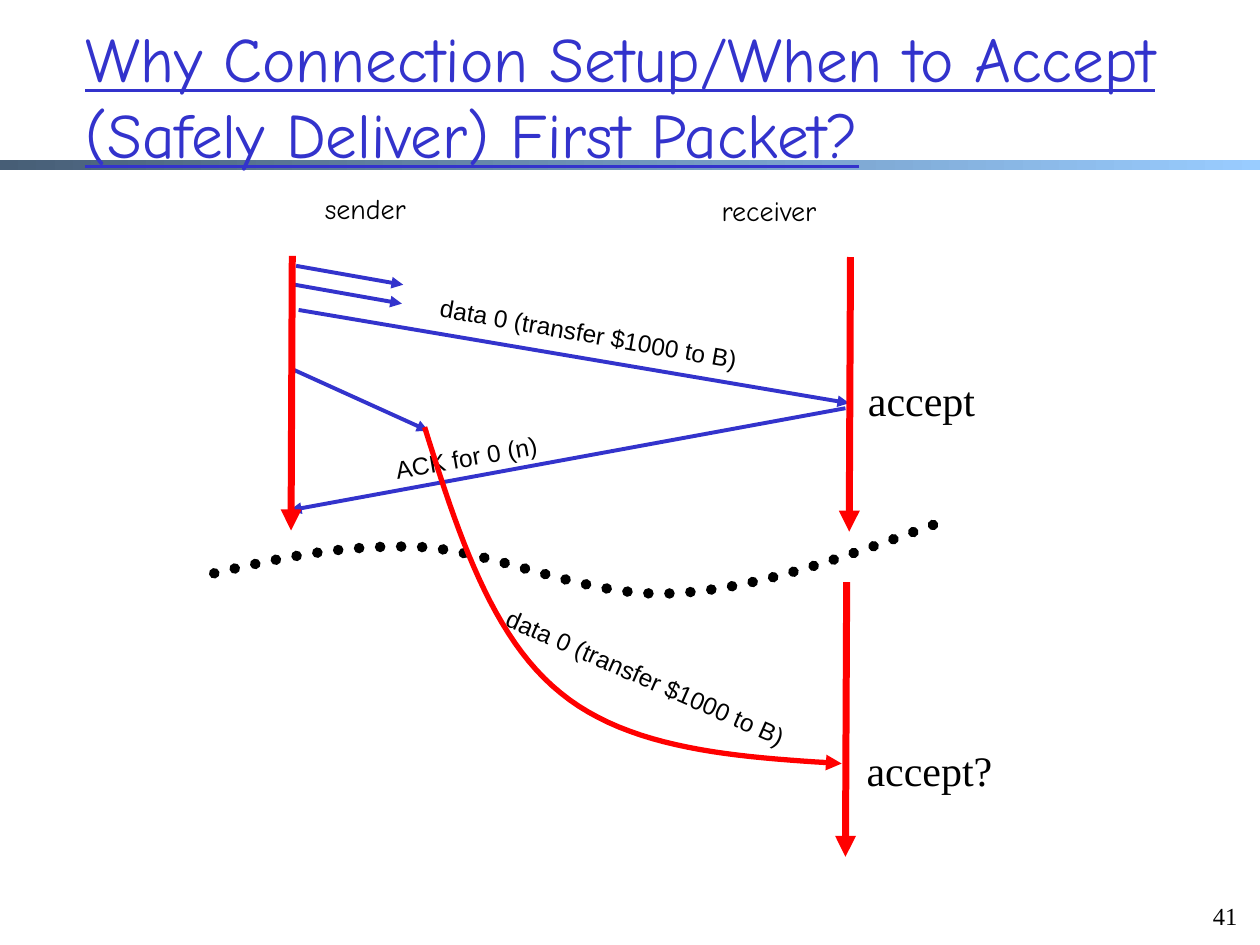
"""Build a slide on connection setup and accepting the first packet."""
from dataclasses import dataclass

from lxml import etree
from pptx import Presentation, util as u
from pptx.dml.color import RGBColor
from pptx.enum import dml, shapes, text
from pptx.oxml.ns import qn

Point = tuple[float, float]


@dataclass(frozen=True)
class Theme:
    blue: str = "3333CC"
    red: str = "FF0000"
    black: str = "000000"
    bar_start: str = "475E76"
    bar_end: str = "99CCFF"
    hand: str = "Comic Neue"
    sans: str = "Arial"
    serif: str = "Times New Roman"
    title: float = 36.1
    verdict: float = 24
    role: float = 16
    small: float = 14
    message_line: float = 2.25
    late_line: float = 3
    time_line: float = 4
    dots: float = 6


THEME = Theme()


@dataclass(frozen=True)
class Label:
    words: str
    box: tuple[float, float, float, float]
    font: str
    size: float
    rotation: float = 0
    wrap: bool = False


@dataclass(frozen=True)
class Arrow:
    start: Point
    end: Point
    color: str = THEME.blue
    width: float = THEME.message_line


@dataclass(frozen=True)
class Curve:
    start: Point
    segments: tuple[tuple[Point, Point, Point], ...]
    color: str
    width: float
    dotted: bool = False


TRANSFER = "data 0 (transfer $1000 to B)"

LABELS = (
    Label("sender", (2.48, 1.47, 0.91, 0.37), THEME.hand, THEME.role),
    Label("receiver", (5.63, 1.49, 1.07, 0.37), THEME.hand, THEME.role),
    Label("ACK for 0 (n)", (3.02, 3.32, 2.99, 0.33), THEME.sans, THEME.small, -10, True),
    Label("accept", (6.79, 2.92, 1.05, 0.5), THEME.serif, THEME.verdict),
    Label(TRANSFER, (3.38, 2.48, 2.59, 0.34), THEME.sans, THEME.small, 10),
    Label(TRANSFER, (3.83, 5.21, 2.59, 0.34), THEME.sans, THEME.small, 23.8),
    Label("accept?", (6.78, 5.86, 1.2, 0.5), THEME.serif, THEME.verdict),
)

MESSAGES = (
    Arrow((2.37, 2.46), (6.74, 3.2)),
    Arrow((6.71, 3.24), (2.3, 4.05)),
    Arrow((2.35, 2.11), (3.2, 2.26)),
    Arrow((2.34, 2.26), (3.19, 2.41)),
    Arrow((2.32, 2.93), (3.4, 3.42)),
)

TIMELINES = tuple(
    Arrow((x, y), (x - 0.01, y + 2.18), THEME.red, THEME.time_line)
    for x, y in ((2.32, 2.03), (6.75, 2.04), (6.72, 4.62))
)

SEPARATOR = Curve(
    (1.7, 4.55),
    (
        ((2.21, 4.43), (2.72, 4.32), (3.32, 4.34)),
        ((3.93, 4.37), (4.64, 4.74), (5.32, 4.71)),
        ((6.01, 4.68), (6.73, 4.41), (7.45, 4.15)),
    ),
    THEME.black, THEME.dots, dotted=True,
)
LATE_PACKET = Curve(
    (3.37, 3.39),
    (
        ((3.63, 4.22), (3.9, 5.06), (4.45, 5.5)),
        ((5, 5.95), (5.84, 6.01), (6.68, 6.06)),
    ),
    THEME.red, THEME.late_line,
)


def add_text(slide, words: str, box, *, font: str, size: float, color: str = THEME.black,
             rotation: float = 0, wrap: bool = True, underline: bool = False, grow: bool = False,
             anchor=text.MSO_ANCHOR.TOP, align=text.PP_ALIGN.LEFT):
    """Add one formatted text box."""
    shape = slide.shapes.add_textbox(*map(u.Inches, box))
    shape.rotation = rotation
    frame = shape.text_frame
    frame.word_wrap = wrap
    frame.vertical_anchor = anchor
    if grow:
        frame.auto_size = text.MSO_AUTO_SIZE.SHAPE_TO_FIT_TEXT
    paragraph = frame.paragraphs[0]
    paragraph.alignment = align
    run = paragraph.add_run()
    run.text = words
    run.font.name = font
    run.font.size = u.Pt(size)
    run.font.underline = underline
    run.font.color.rgb = RGBColor.from_string(color)
    return shape


def style_line(line, color: str, width: float, dotted: bool = False) -> None:
    """Set a line's look, ending in round dots or an arrowhead."""
    line.color.rgb = RGBColor.from_string(color)
    line.width = u.Pt(width)
    if dotted:
        line.dash_style = dml.MSO_LINE.ROUND_DOT
        line._get_or_add_ln().set("cap", "rnd")
    else:
        etree.SubElement(line._get_or_add_ln(), qn("a:tailEnd"), type="triangle")


def add_arrow(slide, arrow: Arrow) -> None:
    """Draw a straight arrow."""
    connector = slide.shapes.add_connector(
        shapes.MSO_CONNECTOR.STRAIGHT, *map(u.Inches, arrow.start + arrow.end))
    style_line(connector.line, arrow.color, arrow.width)
    etree.SubElement(connector._element.spPr, qn("a:effectLst"))


def bezier(points: tuple[Point, ...], t: float) -> Point:
    """Return the point at t on a cubic curve."""
    weights = ((1 - t) ** 3, 3 * t * (1 - t) ** 2, 3 * t * t * (1 - t), t ** 3)
    x, y = (sum(w * p[axis] for w, p in zip(weights, points)) for axis in (0, 1))
    return x, y


def add_curve(slide, curve: Curve, steps: int = 24) -> None:
    """Draw an open curve through its cubic segments."""
    start, points = curve.start, [curve.start]
    for segment in curve.segments:
        points += [bezier((start, *segment), i / steps) for i in range(1, steps + 1)]
        start = segment[-1]
    first, *vertices = [(u.Inches(x), u.Inches(y)) for x, y in points]
    builder = slide.shapes.build_freeform(*first)
    builder.add_line_segments(vertices, close=False)
    shape = builder.convert_to_shape()
    shape.shadow.inherit = False
    shape.fill.background()
    style_line(shape.line, curve.color, curve.width, curve.dotted)


def add_bar(slide) -> None:
    """Draw the gradient bar under the title."""
    bar = slide.shapes.add_shape(
        shapes.MSO_SHAPE.RECTANGLE, *map(u.Inches, (0, 1.27, 10, 0.08)))
    bar.shadow.inherit = False
    bar.line.fill.background()
    bar.fill.gradient()
    bar.fill.gradient_angle = 0
    for stop, color in zip(bar.fill.gradient_stops, (THEME.bar_start, THEME.bar_end)):
        stop.color.rgb = RGBColor.from_string(color)


def main() -> None:
    """Build and save the slide."""
    presentation = Presentation()
    presentation.slide_width, presentation.slide_height = u.Inches(10), u.Inches(7.5)
    slide = presentation.slides.add_slide(presentation.slide_layouts[6])
    add_bar(slide)
    add_text(slide, "Why Connection Setup/When to Accept (Safely Deliver) First Packet?",
             (0.58, 0.13, 9.04, 1.25), font=THEME.hand, size=THEME.title, color=THEME.blue,
             underline=True, anchor=text.MSO_ANCHOR.MIDDLE)
    for label in LABELS:
        add_text(slide, label.words, label.box, font=label.font, size=label.size,
                 rotation=label.rotation, wrap=label.wrap, grow=True)
    for arrow in MESSAGES + TIMELINES:
        add_arrow(slide, arrow)
    for curve in (SEPARATOR, LATE_PACKET):
        add_curve(slide, curve)
    add_text(slide, "41", (9.46, 7.05, 0.46, 0.38), font=THEME.serif, size=THEME.small,
             anchor=text.MSO_ANCHOR.BOTTOM, align=text.PP_ALIGN.RIGHT)
    presentation.save("out.pptx")


if __name__ == "__main__":
    main()
